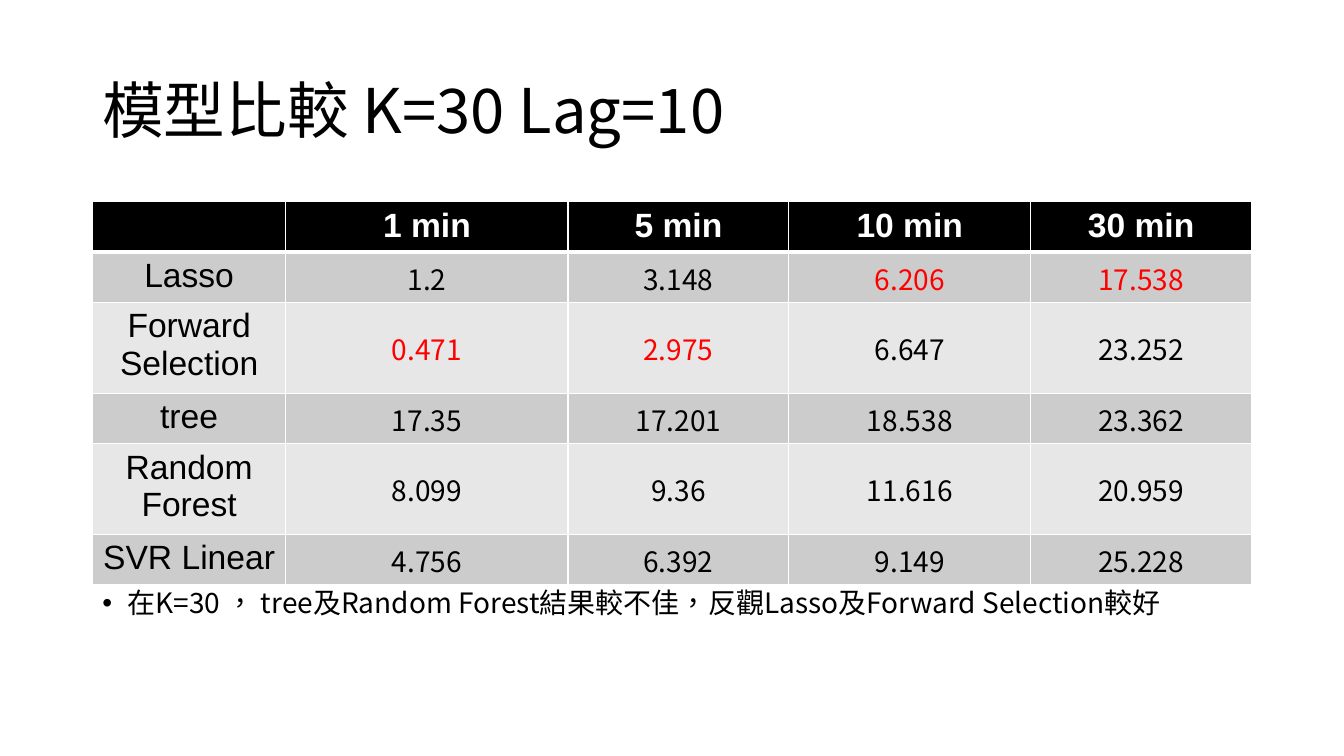
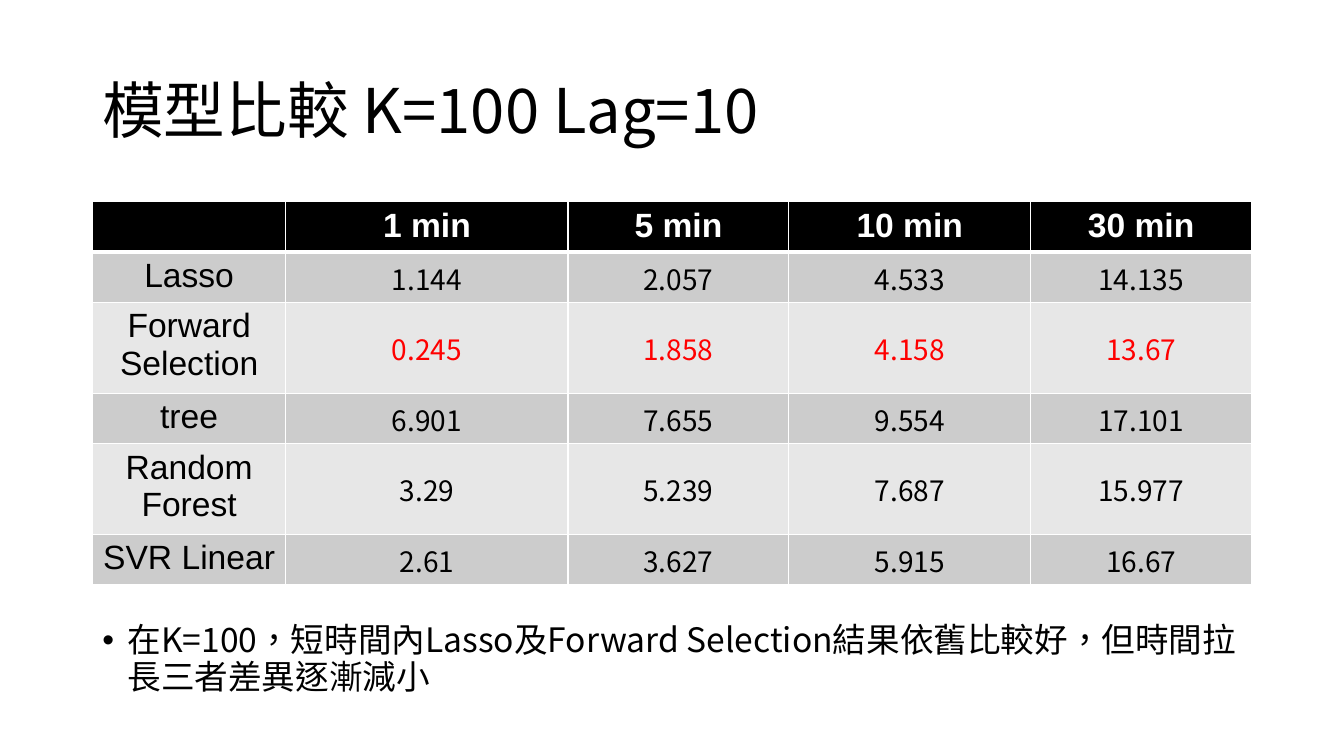
"""Build two slides comparing model errors for K=30 and K=100."""
import pptx
import pptx.dml.color
import pptx.enum.text
import pptx.oxml
import pptx.oxml.ns
import pptx.util

Pt = pptx.util.Pt
RGBColor = pptx.dml.color.RGBColor
ALIGN = pptx.enum.text.PP_ALIGN
ANCHOR = pptx.enum.text.MSO_ANCHOR

BLACK = RGBColor(0x00, 0x00, 0x00)
WHITE = RGBColor(0xFF, 0xFF, 0xFF)
RED = RGBColor(0xFF, 0x00, 0x00)
BANDS = RGBColor(0xE7, 0xE7, 0xE7), RGBColor(0xCC, 0xCC, 0xCC)
CJK, LATIN = "Noto Sans CJK SC", "Arial"

LEFT, WIDTH = 66, 828
TITLE_TOP, TITLE_H = 28.75, 104.4
TABLE_TOP = 144
NOTE_H = 69
COL_W = [138.2, 201.6, 157.7, 172.8, 157.7]
ROW_H = [33.9, 33.9, 60.5, 33.9, 60.5, 33.9]

HEADER = ["", "1 min", "5 min", "10 min", "30 min"]
MODELS = ["Lasso", "Forward Selection", "tree", "Random Forest", "SVR Linear"]
SLIDES = [
    {
        "title": "模型比較 K=30 Lag=10",
        "errors": [
            [1.2, 3.148, 6.206, 17.538],
            [0.471, 2.975, 6.647, 23.252],
            [17.35, 17.201, 18.538, 23.362],
            [8.099, 9.36, 11.616, 20.959],
            [4.756, 6.392, 9.149, 25.228],
        ],
        "note": "在K=30 ， tree及Random Forest結果較不佳，反觀Lasso及Forward Selection較好",
        "note_top": 417.6,
        "note_size": 20,
    },
    {
        "title": "模型比較 K=100 Lag=10",
        "errors": [
            [1.144, 2.057, 4.533, 14.135],
            [0.245, 1.858, 4.158, 13.67],
            [6.901, 7.655, 9.554, 17.101],
            [3.29, 5.239, 7.687, 15.977],
            [2.61, 3.627, 5.915, 16.67],
        ],
        "note": "在K=100，短時間內Lasso及Forward Selection結果依舊比較好，但時間拉長三者差異逐漸減小",
        "note_top": 442.1,
        "note_size": 24,
    },
]


def add_xml(parent, xml):
    """Append a DrawingML element to parent."""
    ns = pptx.oxml.ns.nsdecls("a")
    parent.append(pptx.oxml.parse_xml(xml.replace("NS", ns, 1)))


def write(tf, text, size=24, font=CJK, color=BLACK, bold=False, align=ALIGN.LEFT,
          spacing=None, bullet=False):
    """Write one formatted paragraph into a text frame."""
    p = tf.paragraphs[0]
    p.alignment = align
    p.line_spacing = spacing
    if bullet:
        pPr = p._p.get_or_add_pPr()
        pPr.set("marL", str(Pt(18)))
        pPr.set("indent", str(-Pt(18)))
        add_xml(pPr, '<a:buFont NS typeface="Arial"/>')
        add_xml(pPr, '<a:buChar NS char="•"/>')
    r = p.add_run()
    r.text = text
    r.font.size = Pt(size)
    r.font.bold = bold
    r.font.color.rgb = color
    r.font.name = font
    rPr = r._r.get_or_add_rPr()
    rPr.set("lang", "zh-TW")
    add_xml(rPr, f'<a:ea NS typeface="{font}"/>')


def add_text(s, text, top, height, anchor=ANCHOR.TOP, **fmt):
    """Add a full-width text box."""
    tf = s.shapes.add_textbox(Pt(LEFT), Pt(top), Pt(WIDTH), Pt(height)).text_frame
    tf.word_wrap = True
    tf.vertical_anchor = anchor
    write(tf, text, spacing=0.9, **fmt)


def style_cell(cell, fill, top=1, bottom=1):
    """Give a cell white borders and a solid fill."""
    tcPr = cell._tc.get_or_add_tcPr()
    for side, width in zip("LRTB", (1, 1, top, bottom)):
        add_xml(tcPr, f'<a:ln{side} NS w="{Pt(width)}"><a:solidFill>'
                      f'<a:srgbClr val="{WHITE}"/></a:solidFill></a:ln{side}>')
    cell.fill.solid()
    cell.fill.fore_color.rgb = fill


def add_error_table(s, errors):
    """Add the error table, with the lowest error of each column in red."""
    table = s.shapes.add_table(len(ROW_H), len(COL_W), Pt(LEFT), Pt(TABLE_TOP),
                               Pt(WIDTH), Pt(sum(ROW_H))).table
    for column, width in zip(table.columns, COL_W):
        column.width = Pt(width)
    for row, height in zip(table.rows, ROW_H):
        row.height = Pt(height)
    for c, text in enumerate(HEADER):
        cell = table.cell(0, c)
        style_cell(cell, BLACK, bottom=3)
        if text:
            write(cell.text_frame, text, font=LATIN, color=WHITE, bold=True,
                  align=ALIGN.CENTER)
    best = [min(column) for column in zip(*errors)]
    for i, (model, values) in enumerate(zip(MODELS, errors), 1):
        look = {"fill": BANDS[i % 2], "top": 3 if i == 1 else 1}
        cell = table.cell(i, 0)
        style_cell(cell, **look)
        write(cell.text_frame, model, font=LATIN, align=ALIGN.CENTER)
        for c, (value, low) in enumerate(zip(values, best), 1):
            cell = table.cell(i, c)
            style_cell(cell, **look)
            cell.vertical_anchor = ANCHOR.MIDDLE
            cell.margin_left = cell.margin_right = cell.margin_top = Pt(0.75)
            cell.margin_bottom = Pt(0)
            write(cell.text_frame, str(value), size=20, align=ALIGN.CENTER,
                  color=RED if value == low else BLACK)


def main():
    """Build and save the presentation."""
    prs = pptx.Presentation()
    prs.slide_width, prs.slide_height = Pt(960), Pt(540)
    for content in SLIDES:
        s = prs.slides.add_slide(prs.slide_layouts[6])
        add_text(s, content["title"], TITLE_TOP, TITLE_H, anchor=ANCHOR.MIDDLE, size=44)
        add_text(s, content["note"], content["note_top"], NOTE_H,
                 size=content["note_size"], bullet=True)
        add_error_table(s, content["errors"])
    prs.save("out.pptx")


if __name__ == "__main__":
    main()
